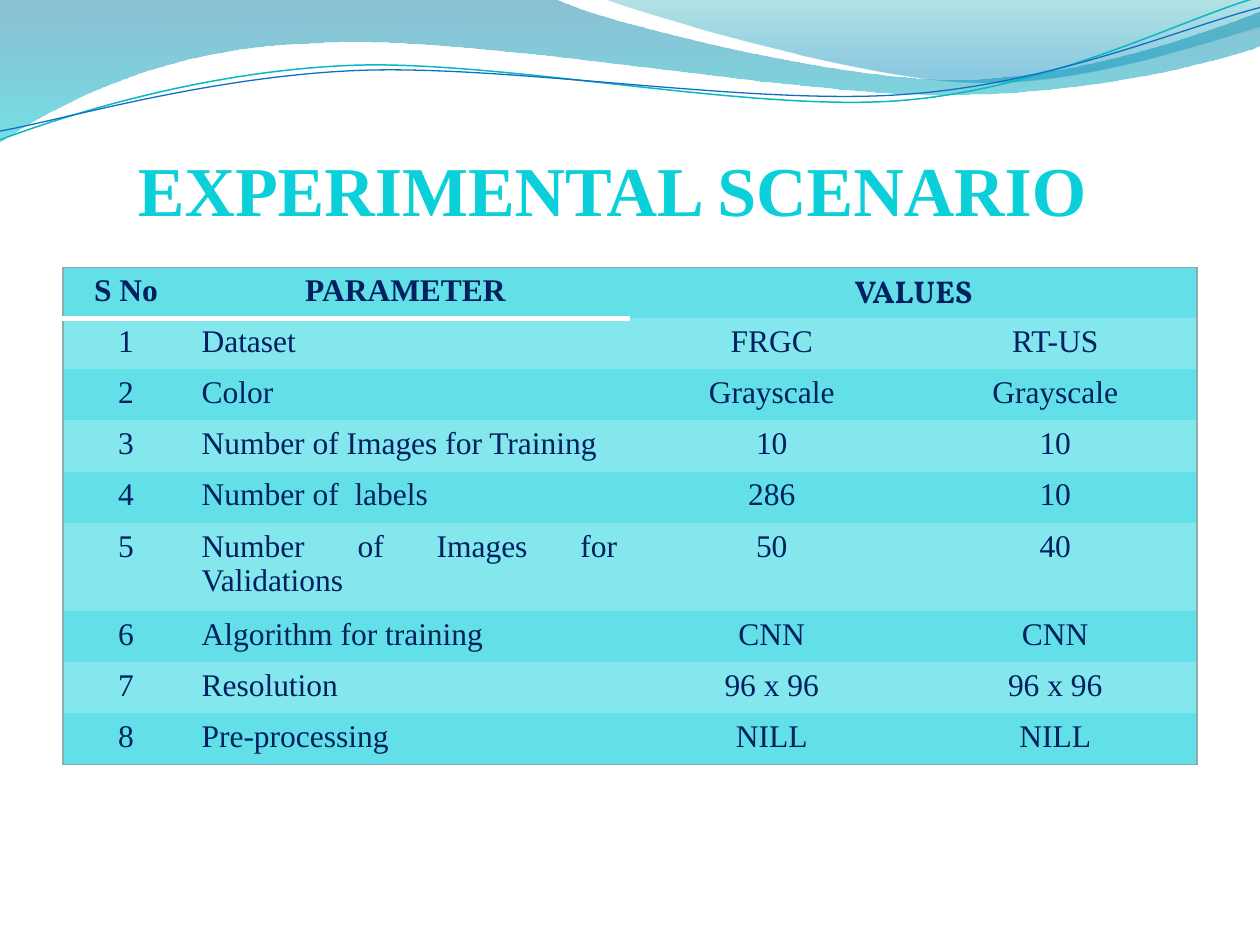
from dataclasses import dataclass

from lxml.etree import SubElement
from pptx import Presentation
from pptx.dml.color import RGBColor
from pptx.enum.text import MSO_ANCHOR, PP_ALIGN
from pptx.oxml.ns import qn
from pptx.util import Inches, Pt


@dataclass(frozen=True)
class Theme:
    title: str = "0BD0D9"
    ink: str = "002060"
    dark: str = "63DFE7"
    light: str = "83E7ED"
    edge: str = "8BADB0"
    rule: str = "FFFFFF"
    face: str = "Times New Roman"
    accent: str = "Vollkorn"
    big: int = 40
    body: int = 18


THEME = Theme()
PLAIN = "{2D5ABB26-0587-4C30-8999-92F81FD0307C}"  # table style without grid

# Each wave: start point, then cubic curves (6 numbers) or lines (2 numbers)
BANDS = [
    ([(0, 0), (4.4, -0.01), (4.76, 0.17, 6.64, 0.63, 7.58, 0.63),
      (8.53, 0.63, 9.58, 0.26, 10, 0.09), (10.01, 0.36),
      (9.83, 0.44, 8.7, 0.76, 7.46, 0.75), (6.22, 0.75, 3.82, 0.28, 2.57, 0.34),
      (1.29, 0.36, 0.46, 0.83, -0.01, 1.13)],
     [(0, "0074A1", 45), (1, "00C6CF", 55)]),
    ([(4.79, -0.01), (5.09, 0.11, 6.82, 0.62, 7.69, 0.65),
      (8.56, 0.69, 9.61, 0.32, 10, 0.21), (10, 0)],
     [(0, "00A1A9", 30), (0.8, "008BBF", 45)]),
]
LINES = [
    ([(0, 1.11), (0.48, 0.93, 1.58, 0.57, 2.77, 0.52),
      (3.95, 0.47, 5.93, 0.89, 7.13, 0.8), (8.33, 0.71, 9.38, 0.15, 9.98, -0.02)],
     "0AB8BF", 0.85),
    ([(0, 1.04), (0.47, 0.96, 1.64, 0.61, 2.83, 0.56),
      (4.03, 0.51, 5.97, 0.84, 7.17, 0.75), (8.36, 0.67, 9.41, 0.21, 10, 0.06)],
     "0F6FC6", 0.75),
]

HEAD = ["S No", "PARAMETER ", "VALUES", ""]
ROWS = [
    ("Dataset", "FRGC", "RT-US"),
    ("Color", "Grayscale", "Grayscale"),
    ("Number of Images for Training", "10", "10"),
    ("Number of  labels", "286", "10"),
    ("Number of Images for Validations", "50", "40"),
    ("Algorithm for training", "CNN", "CNN"),
    ("Resolution", "96 x 96", "96 x 96"),
    ("Pre-processing", "NILL", "NILL"),
]
COLS = [1, 3.5, 2.25, 2.25]


def rgb(code):
    return RGBColor.from_string(code)


def assign(item, values):
    for name, value in values.items():
        setattr(item, name, value)


def write(frame, text, align, color, **font):
    par = frame.paragraphs[0]
    par.alignment = align
    run = par.add_run()
    run.text = text
    assign(run.font, font)
    run.font.color.rgb = rgb(color)


def draw(slide, box, steps, close):
    """Lay out every node as a line, then join each curve's three nodes."""
    left, top = box[:2]
    nodes = [(Inches(left + step[i]), Inches(top + step[i + 1]))
             for step in steps for i in range(0, len(step), 2)]
    pen = slide.shapes.build_freeform(*nodes[0], scale=1.0)
    pen.add_line_segments(nodes[1:], close=close)
    shape = pen.convert_to_shape()
    shape.shadow.inherit = False
    parts = iter(list(shape.element.iter(qn("a:lnTo"))))
    for step in steps[1:]:
        part = next(parts)
        if len(step) == 6:
            curve = part.makeelement(qn("a:cubicBezTo"))
            part.addprevious(curve)
            for old in (part, next(parts), next(parts)):
                curve.append(old[0])
                old.getparent().remove(old)
    return shape


def add_waves(slide, box):
    # Shaded bands
    for steps, stops in BANDS:
        shape = draw(slide, box, steps, True)
        shape.line.fill.background()
        shape.fill.gradient()
        shape.fill.gradient_angle = 270
        for stop, (place, color, _) in zip(shape.fill.gradient_stops, stops):
            stop.position = place
            stop.color.rgb = rgb(color)
        tints = shape.element.spPr.iter(qn("a:srgbClr"))
        for tint, (_, _, alpha) in zip(tints, stops):
            SubElement(tint, qn("a:alpha"), val=str(alpha * 1000))
    # Thin curves
    for steps, color, width in LINES:
        shape = draw(slide, box, steps, False)
        shape.fill.background()
        shape.line.color.rgb = rgb(color)
        shape.line.width = Pt(width)


def add_title(slide, box):
    frame = slide.shapes.add_textbox(*map(Inches, box)).text_frame
    assign(frame, {"word_wrap": True, "vertical_anchor": MSO_ANCHOR.BOTTOM,
                   "margin_left": 0, "margin_right": 0,
                   "margin_top": Inches(0.05), "margin_bottom": 0})
    write(frame, "EXPERIMENTAL SCENARIO", PP_ALIGN.CENTER, THEME.title,
          name=THEME.face, size=Pt(THEME.big), bold=True)


def add_edge(cell, side, color, width):
    props = cell._tc.get_or_add_tcPr()
    line = SubElement(props, qn("a:ln" + side), w=str(Pt(width)))
    fill = SubElement(line, qn("a:solidFill"))
    SubElement(fill, qn("a:srgbClr"), val=color)


def add_grid(slide, box):
    data = [HEAD] + [(str(n), *row) for n, row in enumerate(ROWS, 1)]
    last, end = len(data) - 1, len(COLS) - 1
    # Rows share the height evenly and grow where the text needs it
    table = slide.shapes.add_table(len(data), len(COLS), *map(Inches, box)).table
    assign(table, {"first_row": False, "horz_banding": False})
    table._tbl.tblPr.find(qn("a:tableStyleId")).text = PLAIN
    for col, width in zip(table.columns, COLS):
        col.width = Inches(width)
    for r, values in enumerate(data):
        for c, text in enumerate(values):
            cell = table.cell(r, c)
            # Outer frame, and the rule under the first two heads
            span = r == 0 and c == 2
            for side, shown in (("L", c == 0), ("R", c == end or span),
                                ("T", r == 0), ("B", r == last)):
                if shown:
                    add_edge(cell, side, THEME.edge, 0.75)
            if r == 0 and c < 2:
                add_edge(cell, "B", THEME.rule, 3)
            cell.fill.solid()
            cell.fill.fore_color.rgb = rgb(THEME.light if r % 2 else THEME.dark)
            if text:
                align = PP_ALIGN.JUSTIFY if r and c == 1 else PP_ALIGN.CENTER
                write(cell.text_frame, text, align, THEME.ink,
                      name=THEME.accent if span else THEME.face,
                      size=Pt(THEME.body), bold=r == 0)
    table.cell(0, 2).merge(table.cell(0, 3))


def main():
    deck = Presentation()
    assign(deck, {"slide_width": Inches(10), "slide_height": Inches(7.5)})
    slide = deck.slides.add_slide(deck.slide_layouts[6])
    add_waves(slide, (0, 0, 10, 1.14))
    add_title(slide, (0.36, 0.58, 9, 1.25))
    add_grid(slide, (0.5, 2.12, 9, 3.65))
    deck.save("out.pptx")


if __name__ == "__main__":
    main()
